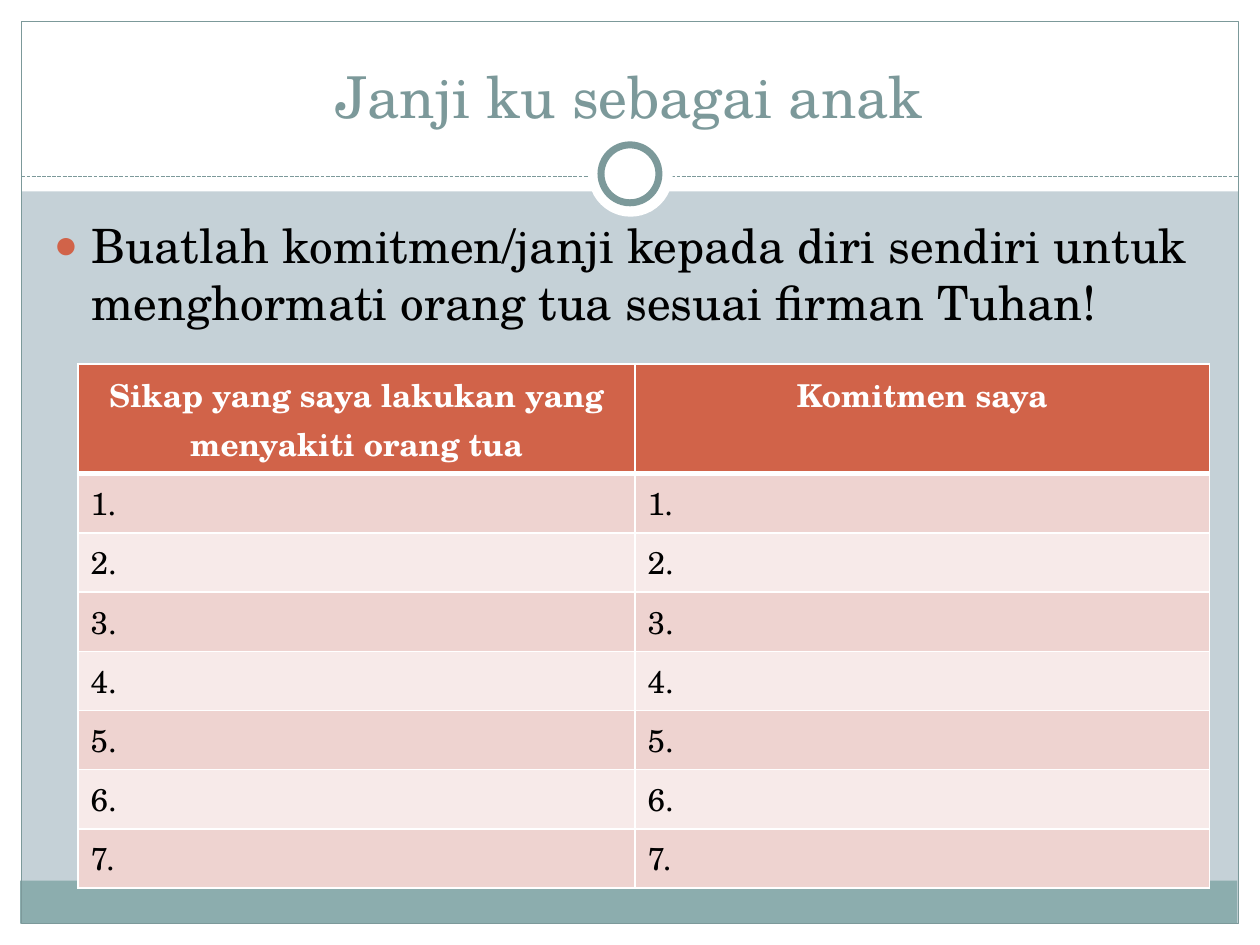
from dataclasses import dataclass

from lxml import etree
from pptx import Presentation
from pptx.dml.color import RGBColor
from pptx.enum.dml import MSO_LINE
from pptx.enum.shapes import MSO_CONNECTOR, MSO_SHAPE
from pptx.enum.text import MSO_ANCHOR, PP_ALIGN
from pptx.oxml.ns import qn
from pptx.util import Inches, Pt

RECT, OVAL = MSO_SHAPE.RECTANGLE, MSO_SHAPE.OVAL
STRAIGHT, DASH = MSO_CONNECTOR.STRAIGHT, MSO_LINE.SQUARE_DOT
CENTER, LEFT, BOTTOM = PP_ALIGN.CENTER, PP_ALIGN.LEFT, MSO_ANCHOR.BOTTOM


@dataclass(frozen=True)
class Theme:
    font: str = "TeX Gyre Schola"
    background: str = "C5D1D7"
    white: str = "FFFFFF"
    black: str = "000000"
    teal: str = "7C999A"
    footer: str = "8CADAE"
    accent: str = "D16349"
    bands: tuple = ("EED3D0", "F7EAE9")
    title_size: int = 33
    body_size: int = 27
    table_size: int = 18


T = Theme()
rgb = RGBColor.from_string


def add_panel(kind, x, y, w, h, fill=None, line=None, weight=0.75):
    sp = s.shapes.add_shape(kind, Inches(x), Inches(y), Inches(w), Inches(h))
    sp.shadow.inherit = False
    if fill:
        sp.fill.solid()
        sp.fill.fore_color.rgb = rgb(fill)
    else:
        sp.fill.background()
    if line:
        sp.line.color.rgb = rgb(line)
        sp.line.width = Pt(weight)
    else:
        sp.line.fill.background()


def style(p, size, color, align=LEFT, bold=False):
    p.alignment = align
    p.font.name = T.font
    p.font.size = Pt(size)
    p.font.bold = bold
    p.font.color.rgb = rgb(color)


prs = Presentation()
prs.slide_width, prs.slide_height = Inches(10), Inches(7.5)
s = prs.slides.add_slide(prs.slide_layouts[5])
s.background.fill.solid()
s.background.fill.fore_color.rgb = rgb(T.background)

# White margins, footer band and frame
for box in ((0, 7.33, 10, 0.17), (0, 0, 10, 1.52), (0, 0, 0.17, 7.5), (9.83, 0, 0.17, 7.5)):
    add_panel(RECT, *box, fill=T.white)
add_panel(RECT, 0.16, 6.99, 9.66, 0.34, fill=T.footer)
add_panel(RECT, 0.17, 0.17, 9.66, 7.16, line=T.teal)

# Dashed divider with ring
divider = s.shapes.add_connector(
    STRAIGHT, Inches(0.17), Inches(1.4), Inches(9.83), Inches(1.4))
divider.line.color.rgb = rgb(T.teal)
divider.line.width = Pt(0.75)
divider.line.dash_style = DASH
etree.SubElement(divider._element.spPr, qn("a:effectLst"))
add_panel(OVAL, 4.67, 1.05, 0.67, 0.67, fill=T.white)
add_panel(OVAL, 4.77, 1.15, 0.46, 0.46, fill=T.white, line=T.teal, weight=4)

# Title, brought in front of the panels
title = s.shapes.title
title.left, title.top, title.width, title.height = (
    Inches(v) for v in (0.33, 0.25, 9.33, 0.83))
s.shapes._spTree.append(title._element)
title.text_frame.text = "Janji ku sebagai anak"
title.text_frame.vertical_anchor = BOTTOM
style(title.text_frame.paragraphs[0], T.title_size, T.teal, CENTER)

# Bulleted instruction
body = s.shapes.add_textbox(Inches(0.33), Inches(1.67), Inches(9.3), Inches(1.1))
tf = body.text_frame
tf.word_wrap = True
tf.text = "Buatlah komitmen/janji kepada diri sendiri untuk menghormati orang tua sesuai firman Tuhan!"
p = tf.paragraphs[0]
style(p, T.body_size, T.black)
p.space_before = Pt(5.4)
pPr = p._p.get_or_add_pPr()
pPr.set("marL", str(Inches(0.3)))
pPr.set("indent", str(-Inches(0.3)))
bullet_color = etree.Element(qn("a:buClr"))
etree.SubElement(bullet_color, qn("a:srgbClr"), val=T.accent)
bullet = (bullet_color,
          etree.Element(qn("a:buSzPct"), val="85000"),
          etree.Element(qn("a:buFont"), typeface="Arial"),
          etree.Element(qn("a:buChar"), char="●"))
for part in bullet:
    pPr.find(qn("a:defRPr")).addprevious(part)

# Commitment table
headers = ("Sikap yang saya lakukan yang menyakiti orang tua", "Komitmen saya")
rows = [headers] + [(f"{n}.", f"{n}.") for n in range(1, 8)]
table = s.shapes.add_table(
    len(rows), 2, Inches(0.62), Inches(2.89), Inches(8.98), Inches(4.16)).table
for column, width in zip(table.columns, (4.42, 4.56)):
    column.width = Inches(width)
for i, texts in enumerate(rows):
    header = i == 0
    table.rows[i].height = Inches(0.87 if header else 0.47)
    for j, text in enumerate(texts):
        cell = table.cell(i, j)
        cell.text = text
        style(cell.text_frame.paragraphs[0], T.table_size,
              T.white if header else T.black, CENTER if header else LEFT, header)
        # Borders come before the fill in the cell properties
        tcPr = cell._tc.get_or_add_tcPr()
        for side in "LRTB":
            thick = (header and side == "B") or (i == 1 and side == "T")
            ln = etree.SubElement(tcPr, qn(f"a:ln{side}"), w=str(Pt(3 if thick else 1)))
            fill = etree.SubElement(ln, qn("a:solidFill"))
            etree.SubElement(fill, qn("a:srgbClr"), val=T.white)
        cell.fill.solid()
        cell.fill.fore_color.rgb = rgb(T.accent if header else T.bands[(i - 1) % 2])

prs.save("out.pptx")
